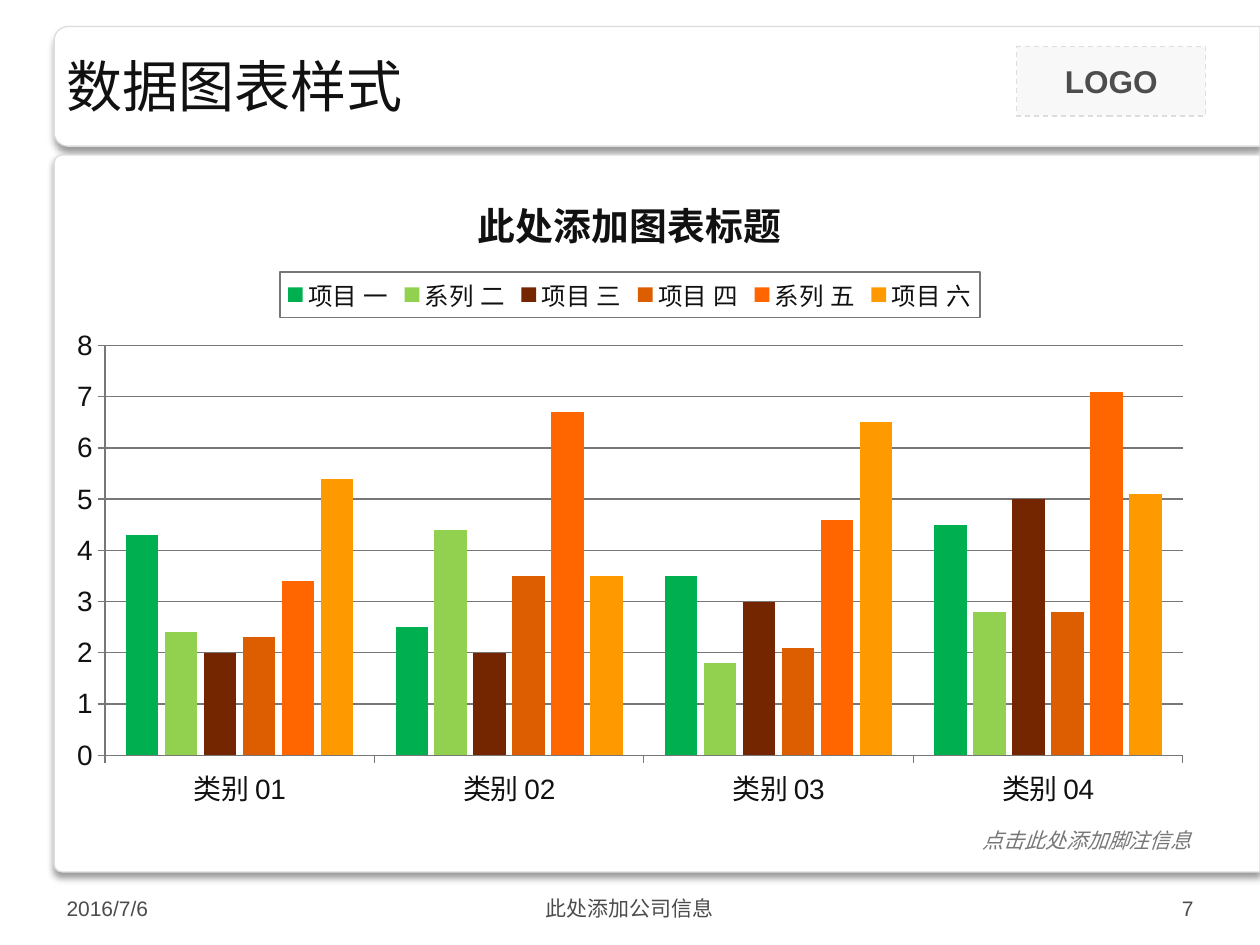
from dataclasses import dataclass

from lxml import etree
from pptx import Presentation
from pptx.chart.data import CategoryChartData
from pptx.dml.color import RGBColor
from pptx.enum.chart import XL_CHART_TYPE, XL_LEGEND_POSITION, XL_TICK_MARK
from pptx.enum.dml import MSO_LINE
from pptx.enum.shapes import MSO_SHAPE
from pptx.enum.text import MSO_ANCHOR, PP_ALIGN
from pptx.oxml import parse_xml
from pptx.oxml.ns import nsdecls, qn
from pptx.util import Inches, Pt

COLUMNS = XL_CHART_TYPE.COLUMN_CLUSTERED
TOP_LEGEND = XL_LEGEND_POSITION.TOP
TICK_OUT, TICK_NONE = XL_TICK_MARK.OUTSIDE, XL_TICK_MARK.NONE
DASH = MSO_LINE.DASH
RECT, TAB = MSO_SHAPE.RECTANGLE, MSO_SHAPE.ROUND_2_SAME_RECTANGLE
MIDDLE = MSO_ANCHOR.MIDDLE
LEFT, CENTER, RIGHT = PP_ALIGN.LEFT, PP_ALIGN.CENTER, PP_ALIGN.RIGHT


@dataclass(frozen=True)
class Theme:
    """Colours, fonts and type sizes of the slide."""
    white: str = "FFFFFF"
    border: str = "DDDDDD"
    logo_fill: str = "F8F8F8"
    logo_text: str = "4D4D4D"
    ink: str = "111111"
    footer: str = "4C4C4C"
    grey: str = "777777"
    body_font: str = "Arial"
    title_font: str = "Montserrat"
    title: int = 32
    chart_title: float = 21.6
    heading: int = 18
    axis: int = 16
    legend: int = 14
    small: int = 12
    hairline: float = 0.75


T = Theme()
CATEGORIES = ["类别 01", "类别 02", "类别 03", "类别 04"]
SERIES = [
    ("项目 一", (4.3, 2.5, 3.5, 4.5), "00B050"),
    ("系列 二", (2.4, 4.4, 1.8, 2.8), "92D050"),
    ("项目 三", (2, 2, 3, 5), "742600"),
    ("项目 四", (2.3, 3.5, 2.1, 2.8), "DC5E01"),
    ("系列 五", (3.4, 6.7, 4.6, 7.1), "FF6600"),
    ("项目 六", (5.4, 3.5, 6.5, 5.1), "FF9900"),
]


def set_font(font, size, color, name=T.body_font, **extra):
    """Apply size, colour, typeface and any further attributes to a font."""
    for key, value in {"size": Pt(size), "name": name, **extra}.items():
        setattr(font, key, value)
    font.color.rgb = RGBColor.from_string(color)


def set_line(line, color):
    """Give a line the hairline width and a colour."""
    line.width = Pt(T.hairline)
    line.color.rgb = RGBColor.from_string(color)


def write(sp, text, align, size, color, anchor=MIDDLE, wrap=True, **font):
    """Write one formatted paragraph into a shape."""
    tf = sp.text_frame
    tf.word_wrap = wrap
    tf.vertical_anchor = anchor
    p = tf.paragraphs[0]
    p.alignment = align
    r = p.add_run()
    r.text = text
    set_font(r.font, size, color, **font)


def add_text(s, box, *args, **kwargs):
    """Add a text box in the given box."""
    write(s.shapes.add_textbox(*map(Inches, box)), *args, **kwargs)


def add_box(s, kind, box, fill):
    """Add a bordered, filled shape without a shadow."""
    sp = s.shapes.add_shape(kind, *map(Inches, box))
    sp.shadow.inherit = False
    sp.fill.solid()
    sp.fill.fore_color.rgb = RGBColor.from_string(fill)
    set_line(sp.line, T.border)
    return sp


def add_panel(s, box, radius):
    """Add a shadowed panel with rounded left corners filling the box."""
    x, y, w, h = box
    turned = (x + (w - h) / 2, y + (h - w) / 2, h, w)
    sp = add_box(s, TAB, turned, T.white)
    sp.rotation = 270
    sp.adjustments[0], sp.adjustments[1] = radius, 0
    effects = sp._element.spPr.find(qn("a:effectLst"))
    shadow = etree.SubElement(effects, qn("a:outerShdw"), blurRad=str(Pt(4)),
                              dist=str(Pt(3)), dir="5400000", rotWithShape="0")
    color = etree.SubElement(shadow, qn("a:srgbClr"), val="000000")
    etree.SubElement(color, qn("a:alpha"), val="40000")


def add_header(s, box):
    """Place the header panel, the logo box and the slide title."""
    x, y, w, h = box
    add_panel(s, box, 0.116)
    logo = add_box(s, RECT, (x + 7.64, y + 0.16, 1.5, 0.55), T.logo_fill)
    logo.line.dash_style = DASH
    write(logo, "LOGO", CENTER, T.heading, T.logo_text, bold=True)
    add_text(s, (x, y + 0.07, w - 0.43, 0.79), "数据图表样式", LEFT,
             T.title, T.ink, name=T.title_font)


def style_axis(axis):
    """Set ticks, labels and line of a chart axis."""
    axis.major_tick_mark = TICK_OUT
    axis.minor_tick_mark = TICK_NONE
    set_font(axis.tick_labels.font, T.axis, T.ink)
    set_line(axis.format.line, T.grey)


def style_legend(chart):
    """Put a framed legend above the plot."""
    chart.has_legend = True
    legend = chart.legend
    legend.position = TOP_LEGEND
    legend.include_in_layout = False
    set_font(legend.font, T.legend, T.ink)
    frame = parse_xml(
        f'<c:spPr {nsdecls("c", "a")}><a:noFill/><a:ln w="{Pt(T.hairline)}">'
        f'<a:solidFill><a:srgbClr val="{T.grey}"/></a:solidFill></a:ln></c:spPr>')
    legend._element.find(qn("c:txPr")).addprevious(frame)


def add_column_chart(s, box):
    """Place the clustered column chart in the box."""
    data = CategoryChartData()
    data.categories = CATEGORIES
    for name, values, _ in SERIES:
        data.add_series(name, values)
    chart = s.shapes.add_chart(COLUMNS, *map(Inches, box), data).chart
    set_font(chart.font, T.heading, T.ink)
    chart.has_title = True
    chart.chart_title.include_in_layout = False
    r = chart.chart_title.text_frame.paragraphs[0].add_run()
    r.text = "此处添加图表标题"
    set_font(r.font, T.chart_title, T.ink, bold=True)
    style_legend(chart)
    for axis in (chart.category_axis, chart.value_axis):
        style_axis(axis)
    value_axis = chart.value_axis
    for key, value in {"minimum_scale": 0, "maximum_scale": 8,
                       "major_unit": 1, "has_major_gridlines": True}.items():
        setattr(value_axis, key, value)
    set_line(value_axis.major_gridlines.format.line, T.grey)
    plot = chart.plots[0]
    for key, value in {"gap_width": 130, "overlap": -20,
                       "vary_by_categories": False}.items():
        setattr(plot, key, value)
    for series, (_, _, color) in zip(plot.series, SERIES):
        series.format.fill.solid()
        series.format.fill.fore_color.rgb = RGBColor.from_string(color)


def add_content(s, box):
    """Place the content panel with its chart and footnote."""
    x, y, w, h = box
    add_panel(s, box, 0.011)
    add_column_chart(s, (x, y + 0.08, w - 0.43, 5.2))
    add_text(s, (x + 7.25, y + 5.29, 1.88, 0.3), "点击此处添加脚注信息", RIGHT,
             T.small, T.grey, anchor=MSO_ANCHOR.TOP, wrap=False, italic=True)


def add_footer(s, box):
    """Place date, company line and page number along the footer."""
    x, y, w, h = box
    parts = [("2016/7/6", LEFT, 2.33, 0), ("此处添加公司信息", CENTER, 3.17, 0.5),
             ("7", RIGHT, 2.33, 1)]
    for text, align, width, share in parts:
        add_text(s, (x + (w - width) * share, y, width, h), text, align,
                 T.small, T.footer)


def main():
    """Build the slide and save it."""
    prs = Presentation()
    prs.slide_width, prs.slide_height = Inches(10), Inches(7.5)
    s = prs.slides.add_slide(prs.slide_layouts[6])
    add_header(s, (0.43, 0.21, 9.57, 0.95))
    add_content(s, (0.43, 1.23, 9.57, 5.69))
    add_footer(s, (0.43, 7.06, 9.14, 0.29))
    prs.save("out.pptx")


if __name__ == "__main__":
    main()
